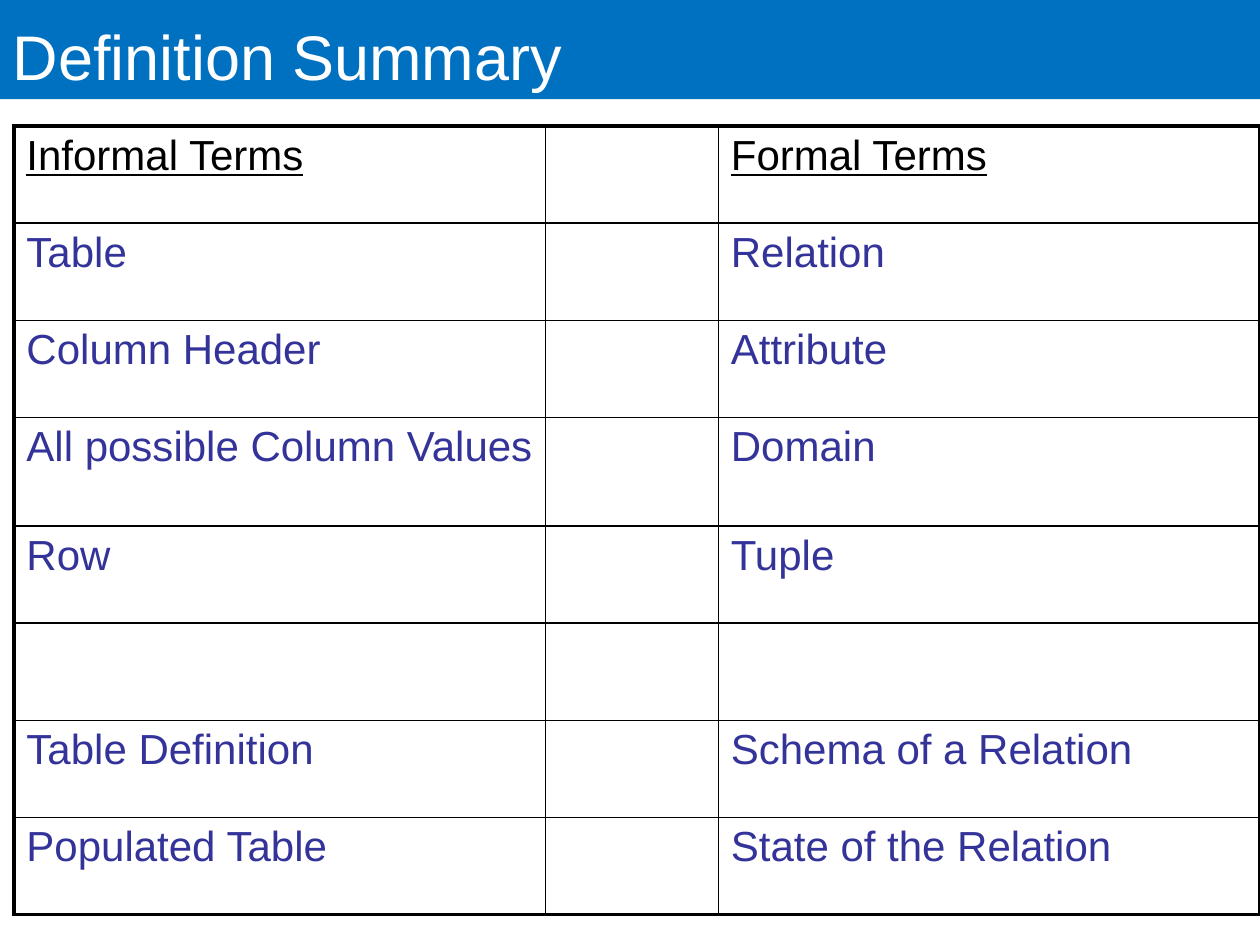
"""Build a slide with a table that pairs informal and formal database terms."""
import pptx
import pptx.dml.color
import pptx.enum.text
import pptx.oxml
import pptx.oxml.ns
import pptx.util

Cm, Pt = pptx.util.Cm, pptx.util.Pt

TITLE = "Definition Summary"
TERMS = [
    ("Informal Terms", "Formal Terms"),
    ("Table", "Relation"),
    ("Column Header", "Attribute"),
    ("All possible Column Values", "Domain"),
    ("Row", "Tuple"),
    ("", ""),
    ("Table Definition", "Schema of a Relation"),
    ("Populated Table", "State of the Relation"),
]
COL_WIDTHS = [10.72, 3.48, 10.92]
ROW_HEIGHT, TALL_HEIGHT, TALL_ROW = 1.96, 2.18, 3
BLUE, INDIGO, BLACK, WHITE = "0070C0", "333399", "000000", "FFFFFF"
THIN, THICK = 1, 2.25


def rgb(value):
    return pptx.dml.color.RGBColor.from_string(value)


def style(p, size, color, underline=None):
    for r in p.runs:
        r.font.name = "Arial"
        r.font.size = Pt(size)
        r.font.color.rgb = rgb(color)
        r.font.underline = underline


def set_borders(cell, widths):
    tcPr = cell._tc.get_or_add_tcPr()
    for i, (side, width) in enumerate(zip("LRTB", widths)):
        tcPr.insert(i, pptx.oxml.parse_xml(
            f'<a:ln{side} {pptx.oxml.ns.nsdecls("a")} w="{Pt(width)}">'
            f'<a:solidFill><a:srgbClr val="{BLACK}"/></a:solidFill></a:ln{side}>'))


def add_title(s):
    sp = s.shapes.title
    sp.left, sp.top, sp.width, sp.height = Cm(0), Cm(0), Cm(25.4), Cm(2)
    sp.fill.solid()
    sp.fill.fore_color.rgb = rgb(BLUE)
    tf = sp.text_frame
    tf.text = TITLE
    tf.vertical_anchor = pptx.enum.text.MSO_ANCHOR.BOTTOM
    tf.auto_size = pptx.enum.text.MSO_AUTO_SIZE.NONE
    p = tf.paragraphs[0]
    p.alignment = pptx.enum.text.PP_ALIGN.LEFT
    style(p, 36, WHITE)


def add_terms(s):
    heights = [TALL_HEIGHT if i == TALL_ROW else ROW_HEIGHT for i in range(len(TERMS))]
    table = s.shapes.add_table(len(TERMS), len(COL_WIDTHS), Cm(0.28), Cm(2.54),
                               Cm(sum(COL_WIDTHS)), Cm(sum(heights))).table
    table.first_row = table.horz_banding = False
    for col, width in zip(table.columns, COL_WIDTHS):
        col.width = Cm(width)
    last_row, last_col = len(TERMS) - 1, len(COL_WIDTHS) - 1
    for i, (informal, formal) in enumerate(TERMS):
        table.rows[i].height = Cm(heights[i])
        for j, text in enumerate((informal, "", formal)):
            cell = table.cell(i, j)
            outer = (j == 0, j == last_col, i == 0, i == last_row)
            set_borders(cell, [THICK if edge else THIN for edge in outer])
            cell.fill.background()
            if text:
                cell.text_frame.text = text
                p = cell.text_frame.paragraphs[0]
                style(p, 24, INDIGO if i else BLACK, i == 0)


def main():
    prs = pptx.Presentation()
    prs.slide_width, prs.slide_height = Cm(25.4), Cm(19.05)
    s = prs.slides.add_slide(prs.slide_layouts[5])
    add_title(s)
    add_terms(s)
    prs.save("out.pptx")


if __name__ == "__main__":
    main()
